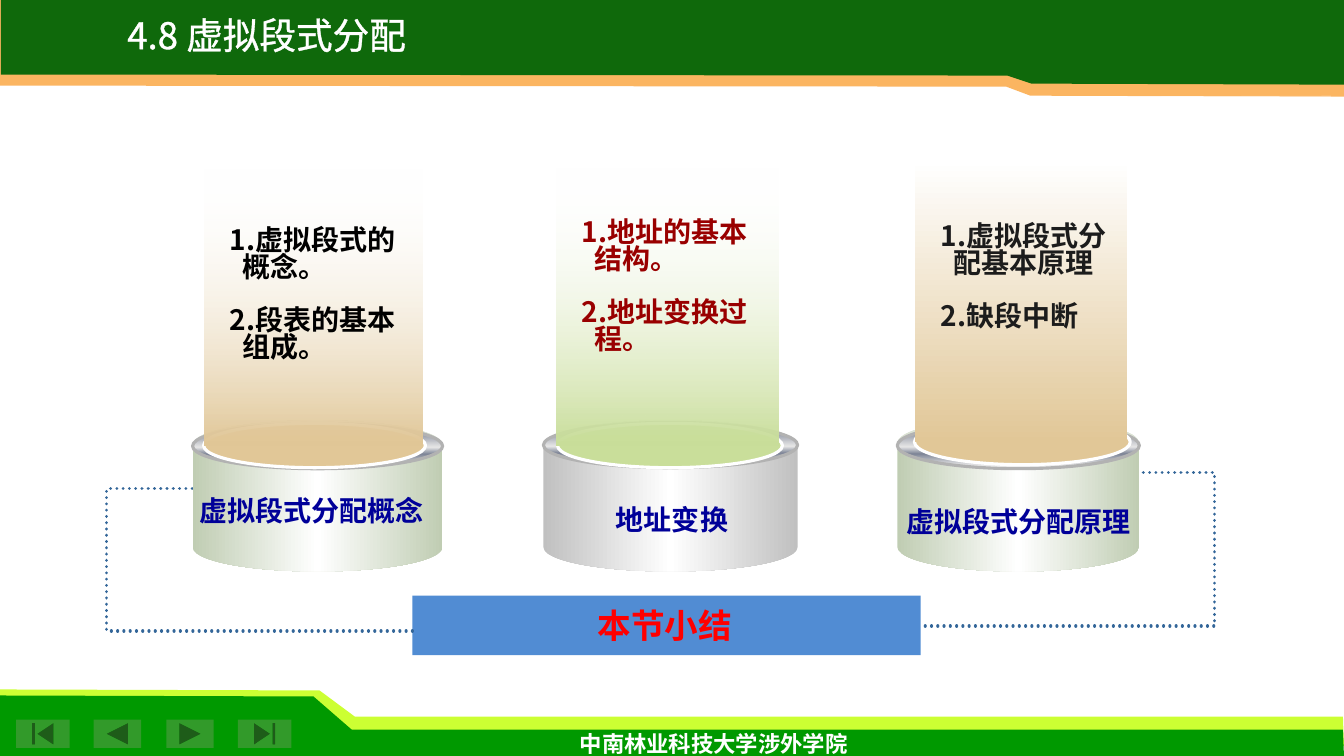
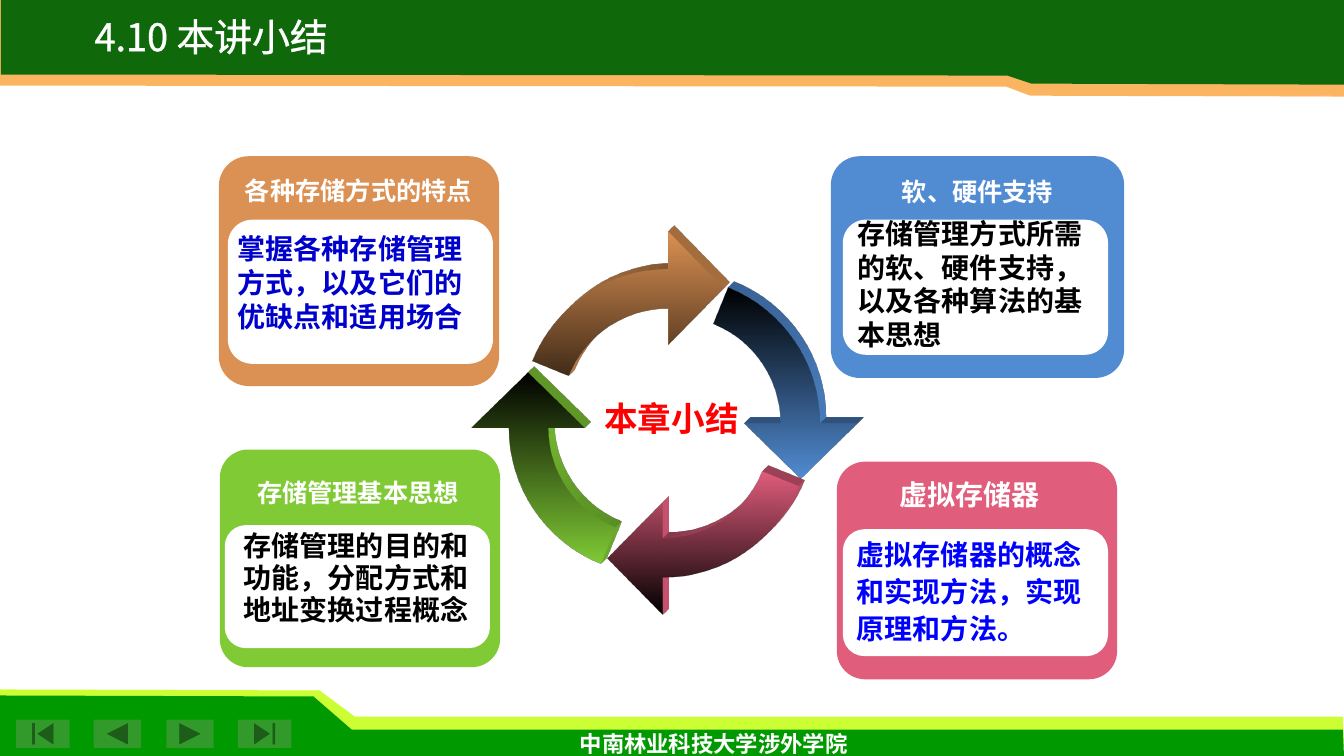
import math

from lxml import etree
from pptx import Presentation
from pptx import util as u
from pptx.dml.color import RGBColor
from pptx.enum import dml, shapes, text
from pptx.oxml import ns

WHITE = RGBColor(0xFF, 0xFF, 0xFF)
BLACK = RGBColor(0, 0, 0)
INK = RGBColor(0x1C, 0x1C, 0x1C)
RED = RGBColor(0xFF, 0, 0)
DARK_RED = RGBColor(0x99, 0, 0)
NAVY = RGBColor(0, 0, 0x99)
ROYAL = RGBColor(0, 0, 0xCC)
PURE_BLUE = RGBColor(0, 0, 0xFF)
LIME = RGBColor(0xCC, 0xFF, 0x33)
GREEN = RGBColor(0, 0x99, 0)
BUTTON_GREEN = RGBColor(0x32, 0x9A, 0x2A)
HEADER_GREEN = RGBColor(0x0F, 0x69, 0x0B)
HEADER_ORANGE = RGBColor(0xFB, 0xB5, 0x61)
DOTTED_BLUE = RGBColor(0x33, 0x66, 0x99)
CARD_BLUE = RGBColor(0x51, 0x8C, 0xD3)
CARD_GREEN = RGBColor(0x80, 0xCB, 0x35)
CARD_ORANGE = RGBColor(0xDB, 0x91, 0x53)
CARD_PINK = RGBColor(0xE1, 0x5D, 0x7C)
BROWN = RGBColor(0x42, 0x2C, 0x19)
SAGE = RGBColor(0xC0, 0xCD, 0xB3)
SILVER = RGBColor(0xC0, 0xC0, 0xC0)
SAND = RGBColor(0xE1, 0xC7, 0x97)
PALE_GREEN = RGBColor(0xC9, 0xDE, 0x9A)
RIM_LIGHT = RGBColor(0xE6, 0xE6, 0xE6)
RIM_DARK = RGBColor(0x7D, 0x84, 0x96)
RIM_LINE = RGBColor(0xB2, 0xB2, 0xB2)
RIM_STOPS = [(0, RIM_LIGHT), (15, RIM_DARK), (53, RIM_LIGHT),
             (68, RIM_DARK), (93, RIM_LIGHT), (100, WHITE)]

SHAPE = shapes.MSO_SHAPE
EAST_ASIAN_FONT = "Noto Sans CJK SC"
BUTTONS = [
    (SHAPE.ACTION_BUTTON_BACK_OR_PREVIOUS, 0.93, 0.47),
    (SHAPE.ACTION_BUTTON_FORWARD_OR_NEXT, 1.65, 0.47),
    (SHAPE.ACTION_BUTTON_BEGINNING, 0.16, 0.53),
    (SHAPE.ACTION_BUTTON_END, 2.36, 0.53),
]
FOOTER_BANDS = [
    (LIME, [(0, 7.4), (13.33, 7.4), (13.32, 7.11), (3.52, 7.11), (3.17, 6.85), (0, 6.84)]),
    (GREEN, [(0, 7.5), (13.33, 7.5), (13.32, 7.24), (3.49, 7.24), (3.11, 6.91), (0, 6.9)]),
]
HEADER_BANDS = [
    (HEADER_ORANGE, [(13.33, 0), (0, 0), (0, 0.85), (9.98, 0.86), (10.22, 0.95), (13.33, 0.96)]),
    (HEADER_GREEN, [(13.33, 0), (0.01, 0), (0.01, 0.74), (9.99, 0.75), (10.23, 0.83), (13.33, 0.84)]),
]
HIGHLIGHT = [(10.05, 0.96), (13.2, 0.95), (13.19, 1.01), (10.19, 1.01)]


def add(parent, tag, **attributes):
    """Append a drawing element to a parent element."""
    return etree.SubElement(parent, ns.qn(tag), **attributes)


def arc(radius, sweep=math.radians(68)):
    """Return the four curve points of an arc starting on the x axis."""
    reach = 4 / 3 * math.tan(sweep / 4)
    cosine, sine = math.cos(sweep), math.sin(sweep)
    unit = [(1, 0), (1, -reach), (cosine + reach * sine, reach * cosine - sine), (cosine, -sine)]
    return [(radius * x, radius * y) for x, y in unit]


class Deck:
    """Holds the presentation style and the slide being drawn."""

    def __init__(self):
        self.presentation = Presentation()
        self.presentation.slide_width = u.Inches(13.33)
        self.presentation.slide_height = u.Inches(7.5)
        self.slide = None

    def add_slide(self, title, title_box, title_size):
        self.slide = self.presentation.slides.add_slide(self.presentation.slide_layouts[6])
        for color, points in FOOTER_BANDS:
            self.outline(points, color)
        for kind, left, width in BUTTONS:
            self.shape(kind, (left, 7.14, width, 0.28), BUTTON_GREEN)
        for color, points in HEADER_BANDS:
            self.outline(points, color)
        highlight = self.outline(HIGHLIGHT, WHITE)
        solid = highlight.element.spPr.find(ns.qn("a:solidFill"))
        add(solid[0], "a:alpha", val="30000")
        self.text((4.86, 7.19, 4.44, 0.37), ["中南林业科技大学涉外学院"], 16, WHITE, font="Lato")
        self.text(title_box, [title], title_size, WHITE, font=EAST_ASIAN_FONT,
                  bold=False, spacing=0.8, stroke=1.5)

    def finish(self, shape, fill, line=None):
        shape.shadow.inherit = False
        if fill is not None:
            shape.fill.solid()
            shape.fill.fore_color.rgb = fill
        if line is None:
            shape.line.fill.background()
        else:
            shape.line.color.rgb = line
            shape.line.width = u.Pt(2.25)
        return shape

    def shape(self, kind, box, fill=None, line=None, adjustment=None):
        shape = self.slide.shapes.add_shape(kind, *map(u.Inches, box))
        if adjustment is not None:
            shape.adjustments[0] = adjustment
        return self.finish(shape, fill, line)

    def outline(self, points, fill=None):
        corners = [(u.Inches(x), u.Inches(y)) for x, y in points]
        builder = self.slide.shapes.build_freeform(*corners[0])
        builder.add_line_segments(corners[1:], close=True)
        return self.finish(builder.convert_to_shape(), fill)

    def gradient(self, shape, stops, angle, clear_start=False):
        shape.fill.gradient()
        shape.fill.gradient_angle = (360 - angle) % 360
        stop_list = shape.element.spPr.find(ns.qn("a:gradFill")).find(ns.qn("a:gsLst"))
        for stop in list(stop_list):
            stop_list.remove(stop)
        for position, color in stops:
            stop = add(stop_list, "a:gs", pos=str(position * 1000))
            value = add(stop, "a:srgbClr", val=str(color))
            if clear_start and position == 0:
                add(value, "a:alpha", val="0")

    def text(self, box, lines, size, color, font="Arial", bold=True,
             align=text.PP_ALIGN.CENTER, spacing=1.0, numbered=False, stroke=None):
        frame = self.slide.shapes.add_textbox(*map(u.Inches, box)).text_frame
        frame.word_wrap = True
        for index, line in enumerate(lines):
            paragraph = frame.paragraphs[0] if index == 0 else frame.add_paragraph()
            paragraph.alignment = align
            paragraph.line_spacing = spacing
            if index:
                paragraph.space_before = u.Pt(19)
            if numbered:
                properties = paragraph._p.get_or_add_pPr()
                properties.set("marL", str(u.Inches(0.13)))
                properties.set("indent", str(u.Inches(-0.13)))
                add(properties, "a:buAutoNum", type="arabicPeriod")
            run = paragraph.add_run()
            run.text = line
            run.font.name = font
            run.font.size = u.Pt(size)
            run.font.bold = bold
            run.font.color.rgb = color
            properties = run._r.get_or_add_rPr()
            add(properties, "a:ea", typeface=EAST_ASIAN_FONT)
            if stroke:
                edge = add(properties, "a:ln", w=str(u.Pt(stroke)))
                add(add(edge, "a:solidFill"), "a:srgbClr", val=str(color))
                properties.insert(0, edge)

    def elbow(self, begin, end, bend):
        connector = self.slide.shapes.add_connector(
            shapes.MSO_CONNECTOR.ELBOW, *map(u.Inches, begin + end))
        connector.line.color.rgb = DOTTED_BLUE
        connector.line.width = u.Pt(2.25)
        connector.line.dash_style = dml.MSO_LINE.ROUND_DOT
        properties = connector.element.spPr
        properties.find(ns.qn("a:ln")).set("cap", "rnd")
        add(properties, "a:effectLst")
        guides = properties.find(ns.qn("a:prstGeom")).find(ns.qn("a:avLst"))
        ratio = round((bend - begin[0]) / (end[0] - begin[0]) * 100000)
        add(guides, "a:gd", name="adj1", fmla=f"val {ratio}")

    def cylinder(self, can, rim, disc, beam, can_color, beam_color, clear):
        body = self.shape(SHAPE.CAN, can, adjustment=0.32)
        self.gradient(body, [(0, can_color), (50, WHITE), (100, can_color)], 0)
        self.gradient(self.shape(SHAPE.OVAL, rim, line=RIM_LINE), RIM_STOPS, 90)
        self.shape(SHAPE.OVAL, disc, beam_color, WHITE)
        self.gradient(self.shape(SHAPE.RECTANGLE, beam),
                      [(0, WHITE), (100, beam_color)], 90, clear)

    def card(self, box, inner, color):
        self.shape(SHAPE.ROUNDED_RECTANGLE, box, color, adjustment=0.13)
        self.shape(SHAPE.ROUNDED_RECTANGLE, inner, WHITE, adjustment=0.17)

    def cycle_arrow(self, center, turn, start, color, angle):
        local = arc(1.06) + arc(1.45)[::-1] + [(1.82, 0), (1.26, 0.55), (0.7, 0)]
        cosine, sine = math.cos(math.radians(turn)), math.sin(math.radians(turn))
        arrow = self.outline([(center[0] + x * cosine - y * sine,
                               center[1] + x * sine + y * cosine) for x, y in local])
        properties = arrow.element.spPr
        segments = list(properties.iter(ns.qn("a:lnTo")))
        for group in (segments[0:3], segments[4:7]):
            curve = etree.Element(ns.qn("a:cubicBezTo"))
            group[0].addprevious(curve)
            for segment in group:
                curve.append(segment[0])
                segment.getparent().remove(segment)
        self.gradient(arrow, [(0, start), (100, color)], angle)
        scene = add(properties, "a:scene3d")
        add(scene, "a:camera", prst="legacyObliqueTopRight")
        add(scene, "a:lightRig", rig="legacyFlat3", dir="b")
        solid = add(properties, "a:sp3d", extrusionH=str(u.Inches(0.17)),
                    prstMaterial="legacyMatte")
        add(add(solid, "a:extrusionClr"), "a:srgbClr", val=str(color))


def section_summary(deck):
    """Draw the section summary with three cylinders."""
    deck.add_slide("4.8 虚拟段式分配", (0.52, 0.16, 4.25, 0.46), 26.1)
    deck.shape(SHAPE.ROUNDED_RECTANGLE, (4.09, 5.91, 5.04, 0.59), CARD_BLUE, adjustment=0)
    deck.elbow((2.03, 4.85), (4.15, 6.26), 1.06)
    deck.elbow((11.34, 4.69), (9.13, 6.21), 12.05)
    deck.text((4.7, 5.95, 3.79, 0.5), ["本节小结"], 24, RED, stroke=0.75)
    columns = [
        ((1.91, 4.17, 2.48, 1.5), (1.91, 4.2, 2.48, 0.45), (2.02, 4.2, 2.2, 0.44),
         (2.03, 1.66, 2.16, 2.76), SAGE, SAND, True, (2.18, 2.22, 2.05, 1.98), BLACK,
         ["虚拟段式的概念。", "段表的基本组成。"], (1.87, 4.85, 2.44, 0.44), "虚拟段式分配概念"),
        ((5.39, 4.17, 2.52, 1.5), (5.39, 4.19, 2.52, 0.45), (5.53, 4.2, 2.23, 0.44),
         (5.52, 1.66, 2.2, 2.76), SILVER, PALE_GREEN, True, (5.67, 2.14, 2.1, 1.72), DARK_RED,
         ["地址的基本结构。", "地址变换过程。"], (5.17, 4.94, 2.99, 0.44), "地址变换"),
        ((8.9, 4.15, 2.4, 1.52), (8.9, 4.19, 2.4, 0.46), (9.07, 4.16, 2.14, 0.45),
         (9.08, 1.59, 2.1, 2.8), SAGE, SAND, False, (9.23, 2.18, 2.01, 1.45), INK,
         ["虚拟段式分配基本原理", "缺段中断"], (8.71, 4.96, 2.79, 0.44), "虚拟段式分配原理"),
    ]
    for *parts, points_box, points_color, points, label_box, label in columns:
        deck.cylinder(*parts)
        deck.text(points_box, points, 20, points_color, align=text.PP_ALIGN.LEFT,
                  spacing=0.8, numbered=True)
        deck.text(label_box, [label], 20, NAVY)


def chapter_summary(deck):
    """Draw the chapter summary with four cards around a cycle."""
    deck.add_slide("4.10 本讲小结", (0.48, 0.17, 3.23, 0.47), 27)
    deck.text((5.62, 3.9, 2.08, 0.5), ["本章小结"], 24, RED, stroke=0.75)
    cards = [
        ((2.18, 4.46, 2.78, 2.16), (2.23, 5.21, 2.63, 1.22), CARD_GREEN,
         (2.41, 4.69, 2.28, 0.4), "存储管理基本思想", 18, "Lato", (2.32, 5.22, 2.53, 1.06),
         "存储管理的目的和功能，分配方式和地址变换过程概念", BLACK, "Lato", 0.95),
        ((2.17, 1.55, 2.78, 2.28), (2.26, 2.18, 2.63, 1.43), CARD_ORANGE,
         (2.1, 1.69, 2.91, 0.4), "各种存储方式的特点", 18, "Arial", (2.26, 2.25, 2.59, 1.11),
         "掌握各种存储管理方式，以及它们的优缺点和适用场合", ROYAL, "Lato", 1.0),
        ((8.3, 4.58, 2.78, 2.16), (8.36, 5.25, 2.63, 1.26), CARD_PINK,
         (8.4, 4.69, 2.44, 0.44), "虚拟存储器", 20, "Arial", (8.4, 5.25, 2.53, 1.21),
         "虚拟存储器的概念和实现方法，实现原理和方法。", PURE_BLUE, "Lato", 1.1),
        ((8.24, 1.55, 2.91, 2.2), (8.36, 2.18, 2.63, 1.34), CARD_BLUE,
         (8.16, 1.7, 3.07, 0.4), "软、硬件支持", 18, "Arial", (8.41, 2.1, 2.53, 1.45),
         "存储管理方式所需的软、硬件支持，以及各种算法的基本思想", BLACK, "Arial", 1.0),
    ]
    for *parts, heading_box, heading, size, heading_font, body_box, body, color, font, spacing in cards:
        deck.card(*parts)
        deck.text(heading_box, [heading], size, WHITE, heading_font)
        deck.text(body_box, [body], 20, color, font, align=text.PP_ALIGN.LEFT, spacing=spacing)
    deck.cycle_arrow((6.58, 4.28), 90, BLACK, CARD_PINK, 270)
    deck.cycle_arrow((6.5, 4.25), 180, BLACK, CARD_GREEN, 90)
    deck.cycle_arrow((6.63, 4.12), 270, BROWN, CARD_ORANGE, 270)
    deck.cycle_arrow((6.68, 4.2), 0, BLACK, CARD_BLUE, 90)


def main():
    """Build and save the presentation."""
    deck = Deck()
    section_summary(deck)
    chapter_summary(deck)
    deck.presentation.save("out.pptx")


if __name__ == "__main__":
    main()
